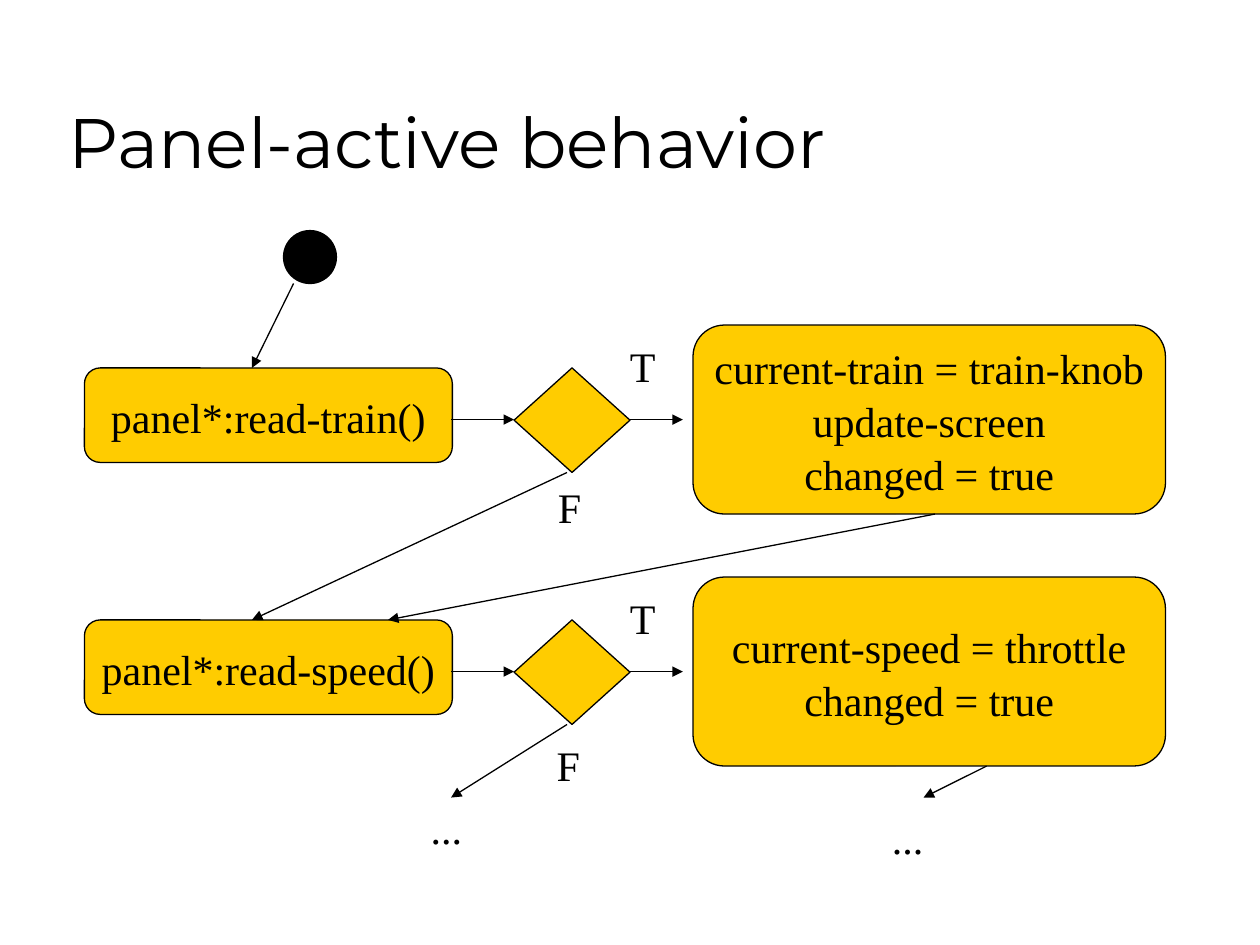
import pptx
import pptx.util
from lxml import etree
from pptx.dml.color import RGBColor
from pptx.enum.shapes import MSO_CONNECTOR, MSO_SHAPE
from pptx.enum.text import MSO_ANCHOR, MSO_AUTO_SIZE, PP_ALIGN
from pptx.oxml.ns import qn
from pptx.util import Inches

BLACK = RGBColor(0x00, 0x00, 0x00)
YELLOW = RGBColor(0xFF, 0xCC, 0x00)
TITLE_FONT = {"name": "Montserrat", "size": pptx.util.Pt(40)}
BODY_FONT = {"name": "Times New Roman", "size": pptx.util.Pt(24)}
TITLE_FRAME = {"vertical_anchor": MSO_ANCHOR.BOTTOM, "auto_size": MSO_AUTO_SIZE.NONE}
NODE_FRAME = {"vertical_anchor": MSO_ANCHOR.MIDDLE, "word_wrap": False}
LABEL_FRAME = {"auto_size": MSO_AUTO_SIZE.SHAPE_TO_FIT_TEXT, "word_wrap": False}


class Diagram:
    """Holds the style and the current slide of an activity diagram."""

    def __init__(self, s):
        self.s = s
        self.line_width = pptx.util.Pt(0.75)

    def fill_text(self, tf, text, frame, font, align, spacing=1.05):
        for name, value in frame.items():
            setattr(tf, name, value)
        for i, line in enumerate(text.split("\n")):
            p = tf.paragraphs[0] if i == 0 else tf.add_paragraph()
            p.alignment = align
            p.line_spacing = spacing
            r = p.add_run()
            r.text = line
            for name, value in font.items():
                setattr(r.font, name, value)
            r.font.color.rgb = BLACK

    def title(self, text, left, top, width, height):
        sp = self.s.shapes.title
        box = {"left": left, "top": top, "width": width, "height": height}
        for name, value in box.items():
            setattr(sp, name, Inches(value))
        self.fill_text(sp.text_frame, text, TITLE_FRAME, TITLE_FONT, PP_ALIGN.LEFT, 1.0)

    def node(self, kind, left, top, width, height, text="", fill=YELLOW):
        sp = self.s.shapes.add_shape(
            kind, Inches(left), Inches(top), Inches(width), Inches(height))
        sp.shadow.inherit = False
        sp.fill.solid()
        sp.fill.fore_color.rgb = fill
        sp.line.color.rgb = BLACK
        sp.line.width = self.line_width
        if text:
            self.fill_text(sp.text_frame, text, NODE_FRAME, BODY_FONT, PP_ALIGN.CENTER)

    def label(self, text, left, top, width=0.4):
        sp = self.s.shapes.add_textbox(
            Inches(left), Inches(top), Inches(width), Inches(0.5))
        self.fill_text(sp.text_frame, text, LABEL_FRAME, BODY_FONT, PP_ALIGN.LEFT)

    def arrow(self, x1, y1, x2, y2):
        c = self.s.shapes.add_connector(
            MSO_CONNECTOR.STRAIGHT, Inches(x1), Inches(y1), Inches(x2), Inches(y2))
        c.line.color.rgb = BLACK
        c.line.width = self.line_width
        ln = c._element.spPr.find(qn("a:ln"))
        etree.SubElement(ln, qn("a:tailEnd"), type="triangle")
        etree.SubElement(c._element.spPr, qn("a:effectLst"))

    def step(self, top, call, result):
        self.node(MSO_SHAPE.ROUNDED_RECTANGLE, 0.67, top, 2.92, 0.75, call)
        self.node(MSO_SHAPE.ROUNDED_RECTANGLE, 5.5, top - 0.34, 3.75, 1.5, result)
        self.node(MSO_SHAPE.DIAMOND, 4.08, top, 0.92, 0.83)
        middle = top + 0.41
        self.arrow(3.58, middle, 4.08, middle)
        self.arrow(5, middle, 5.42, middle)
        self.label("T", 4.9, top - 0.29)


def main():
    prs = pptx.Presentation()
    prs.slide_width, prs.slide_height = Inches(10), Inches(7.5)
    d = Diagram(prs.slides.add_slide(prs.slide_layouts[5]))

    d.title("Panel-active behavior", 0.44, 0.25, 8.5, 1.25)
    d.node(MSO_SHAPE.OVAL, 2.25, 1.83, 0.42, 0.42, fill=BLACK)
    d.step(2.92, "panel*:read-train()",
           "current-train = train-knob\nupdate-screen\nchanged = true")
    d.step(4.92, "panel*:read-speed()",
           "current-speed = throttle\nchanged = true")

    for ends in [(2.33, 2.25, 2, 2.92), (4.5, 3.75, 2, 4.92),
                 (4.5, 5.75, 3.58, 6.33), (7.42, 4.08, 3.08, 4.92),
                 (7.83, 6.08, 7.33, 6.33)]:
        d.arrow(*ends)
    for text, left, top, width in [("F", 4.33, 3.75, 0.39), ("F", 4.32, 5.8, 0.38),
                                   ("...", 3.32, 6.3, 0.45), ("...", 6.98, 6.38, 0.45)]:
        d.label(text, left, top, width)

    prs.save("out.pptx")


if __name__ == "__main__":
    main()
